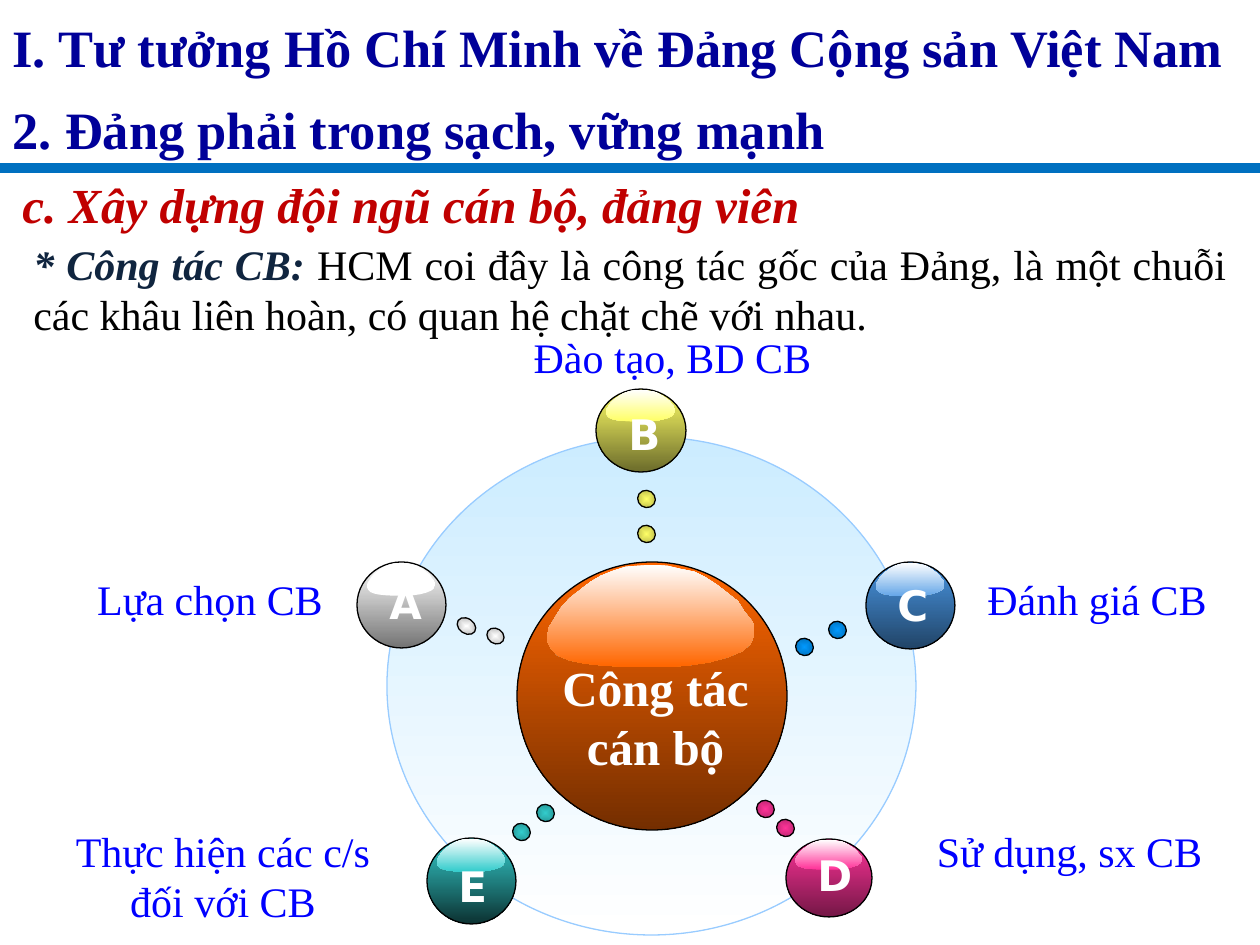
from lxml import etree
from pptx import Presentation
from pptx import util as u
from pptx.dml.color import RGBColor
from pptx.enum import shapes, text
from pptx.oxml.ns import qn

PX = 914400 / 126  # EMU in one px
ALIGN = text.PP_ALIGN

THEME = dict(
    serif="Times New Roman", sans="DejaVu Sans",
    heading="000099", rule="0070C0", subhead="C00000", lead="10253F", body="000000",
    label="0000FF", white="FFFFFF", outline="000000",
    disc=("CCECFF", "FFFFFF"), disc_line="99CCFF",
    title_pt=30, large_pt=28, text_pt=24,
    # ball top, ball bottom, foot of the gloss, dot centre, dot edge
    orange=("FF6600", "742E00", "FF6600"),
    yellow=("FFFF66", "6C6C2B", "FFFF66", "FFFF66", "AAAA44"),
    teal=("33CCCC", "0C3232", "33CCCC", "33CCCC", "228888"),
    blue=("4996E3", "214467", "66A7E8", "0099FF", "0066AA"),
    pink=("FF3399", "741746", "FF3399", "FF3399", "AA2266"),
    grey=("FFFFFF", "747474", "FFFFFF", "FFFFFF", "AAAAAA"),
)

# Content: boxes are (left, top, width, height) in px
TITLE = ["I. Tư tưởng Hồ Chí Minh về Đảng Cộng sản Việt Nam",
         "2. Đảng phải trong sạch, vững mạnh"]
SUBHEAD = "c. Xây dựng đội ngũ cán bộ, đảng viên"
LEAD = "* Công tác CB: "
BODY = ("HCM coi đây là công tác gốc của Đảng, là một chuỗi các khâu liên hoàn, "
        "có quan hệ chặt chẽ với nhau.")
DISC = (387, 437, 529, 498)
HUB = ("Công tác cán bộ", (517, 562, 270, 268), (546, 651, 219, 131))
STEPS = [  # letter, colour, ball, letter box, dots, label, label box
    ("B", "yellow", (596, 389, 90, 83), (616, 402, 53, 63),
     [(638, 490, 17, 18), (638, 525, 17, 18)], "Đào tạo, BD CB", (483, 325, 379, 63)),
    ("E", "teal", (427, 838, 89, 86), (446, 854, 48, 63),
     [(513, 823, 17, 18), (537, 804, 17, 18)],
     "Thực hiện các c/s đối với CB", (63, 819, 320, 113)),
    ("C", "blue", (866, 562, 89, 87), (885, 573, 52, 63),
     [(829, 621, 17, 18), (796, 638, 17, 18)], "Đánh giá CB", (966, 567, 262, 63)),
    ("D", "pink", (786, 839, 86, 78), (805, 843, 55, 63),
     [(777, 819, 17, 18), (757, 800, 17, 18)], "Sử dụng, sx CB", (910, 819, 319, 63)),
    ("A", "grey", (357, 562, 89, 86), (377, 571, 54, 63),
     [(459, 616, 15, 20), (488, 627, 15, 18)], "Lựa chọn CB", (63, 567, 294, 63)),
]
# Gloss outline in percent of its own box
GLOSS = [(99, 56), (100, 62), (100, 68), (98, 78), (94, 85), (87, 91), (78, 96), (68, 99),
         (61, 100), (36, 100), (27, 99), (18, 97), (11, 94), (5, 89), (2, 82), (0, 74),
         (1, 62), (4, 52), (7, 42), (11, 33), (16, 25), (21, 17), (26, 11), (32, 6),
         (38, 2), (44, 1), (51, 0), (58, 1), (64, 4), (71, 7), (76, 12), (82, 20),
         (87, 28), (92, 36), (95, 46)]


def emu(*values):
    return [round(v * PX) for v in values]


def rgb(value):
    return RGBColor.from_string(value)


def write(p, words, size=THEME["text_pt"], color=THEME["body"], font=THEME["serif"],
          bold=False, italic=False, align=None, spacing=None):
    r = p.add_run()
    r.text = words
    f = r.font
    f.size, f.name, f.bold, f.italic = u.Pt(size), font, bold, italic
    f.color.rgb = rgb(color)
    if align is not None:
        p.alignment = align
    if spacing is not None:
        p.line_spacing = spacing


def text_box(slide, box, wrap=True):
    tf = slide.shapes.add_textbox(*emu(*box)).text_frame
    tf.word_wrap = wrap
    return tf.paragraphs[0]


def paint(sp, colors, line=None, radial=False):
    sp.shadow.inherit = False
    sp.fill.gradient()
    for stop, color in zip(sp.fill.gradient_stops, colors):
        stop.color.rgb = rgb(color)
    sp.fill.gradient_angle = 270
    if radial:
        lin = sp._element.spPr.find(qn("a:gradFill")).find(qn("a:lin"))
        grad = lin.getparent()
        grad.remove(lin)
        shade = etree.SubElement(grad, qn("a:path"), path="rect")
        etree.SubElement(shade, qn("a:fillToRect"), l="50000", t="50000", r="50000", b="50000")
    if line:
        sp.line.color.rgb = rgb(line)
        sp.line.width = u.Pt(0.75)
    else:
        sp.line.fill.background()


def ellipse(slide, box, colors, line=THEME["outline"], radial=False):
    sp = slide.shapes.add_shape(shapes.MSO_SHAPE.OVAL, *emu(*box))
    paint(sp, colors, line, radial)
    return sp


def ball(slide, box, tones):
    """Shaded ball with a gloss cap placed in proportion to it."""
    ellipse(slide, box, tones[:2])
    x, y, w, h = box
    left, top = x + 0.11 * w, y + 0.01 * h
    points = [emu(left + 0.77 * w * px / 100, top + 0.38 * h * py / 100) for px, py in GLOSS]
    fb = slide.shapes.build_freeform(*points[0], scale=1.0)
    fb.add_line_segments(points[1:], close=True)
    paint(fb.convert_to_shape(), (THEME["white"], tones[2]))


def main():
    prs = Presentation()
    prs.slide_width, prs.slide_height = emu(1260, 945)
    slide = prs.slides.add_slide(prs.slide_layouts[5])

    # Title and rule
    title = slide.shapes.title
    title.left, title.top, title.width, title.height = emu(0, -10, 1239, 258)
    tf = title.text_frame
    tf.vertical_anchor = text.MSO_ANCHOR.TOP
    tf.auto_size = text.MSO_AUTO_SIZE.NONE
    for i, words in enumerate(TITLE):
        p = tf.add_paragraph() if i else tf.paragraphs[0]
        p.space_before = u.Pt(0)
        write(p, words, size=THEME["title_pt"], color=THEME["heading"], bold=True,
              align=ALIGN.JUSTIFY, spacing=1.3)
    rule = slide.shapes.add_connector(shapes.MSO_CONNECTOR.STRAIGHT, *emu(0, 168, 1260, 168))
    rule.line.color.rgb = rgb(THEME["rule"])
    rule.line.width = u.Pt(6)
    etree.SubElement(rule._element.spPr, qn("a:effectLst"))

    # Subheading and introduction
    write(text_box(slide, (10, 168, 1229, 72)), SUBHEAD, size=THEME["large_pt"],
          color=THEME["subhead"], bold=True, italic=True)
    p = text_box(slide, (21, 232, 1218, 113))
    write(p, LEAD, color=THEME["lead"], bold=True, italic=True, align=ALIGN.JUSTIFY)
    write(p, BODY)

    # Disc and hub
    ellipse(slide, DISC, THEME["disc"], line=THEME["disc_line"])
    words, hub_box, words_box = HUB
    ball(slide, hub_box, THEME["orange"])
    write(text_box(slide, words_box), words, size=THEME["large_pt"], color=THEME["white"],
          bold=True, align=ALIGN.CENTER)

    # Steps around the hub
    for letter, tone, ball_box, letter_box, dots, label, label_box in STEPS:
        tones = THEME[tone]
        ball(slide, ball_box, tones)
        write(text_box(slide, letter_box, wrap=False), letter, color=THEME["white"],
              font=THEME["sans"], bold=True)
        for dot in dots:
            ellipse(slide, dot, tones[3:], radial=True).rotation = 303.8
        write(text_box(slide, label_box), label, color=THEME["label"], align=ALIGN.CENTER)

    prs.save("out.pptx")


if __name__ == "__main__":
    main()
